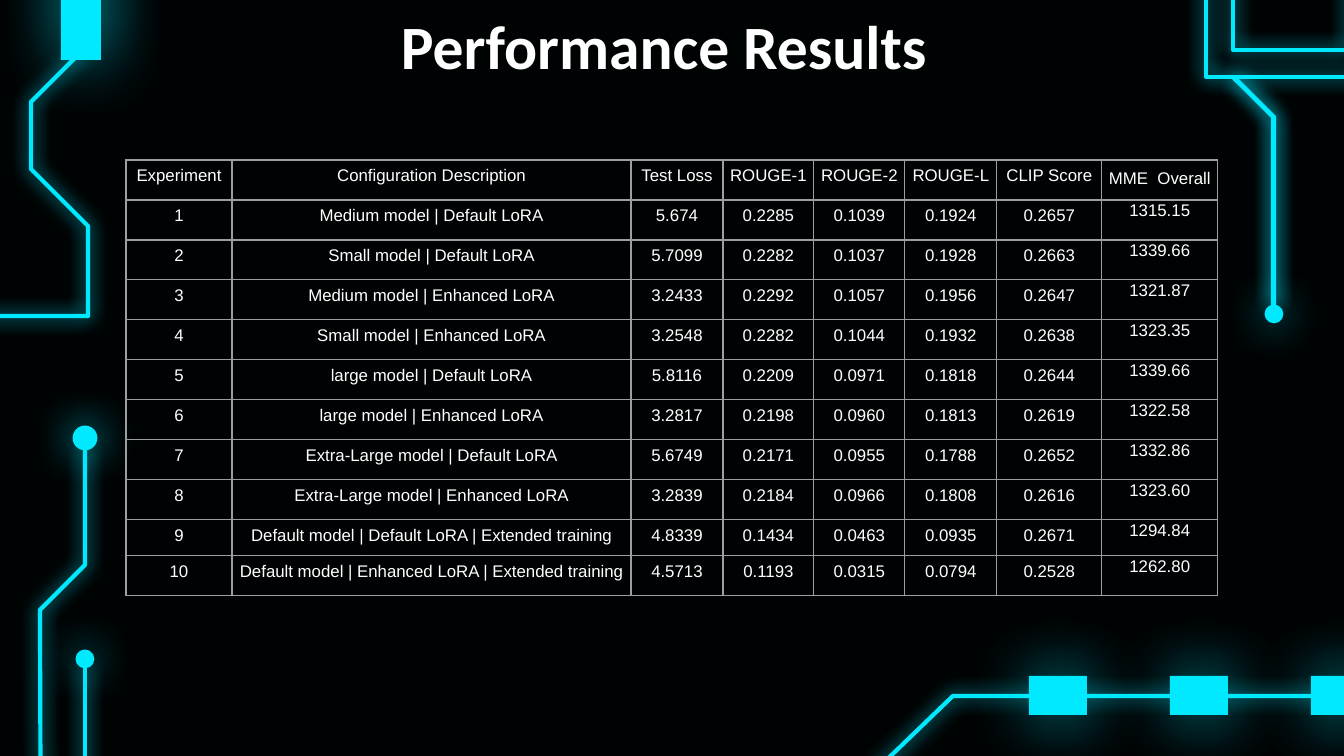
from lxml.etree import SubElement
from pptx import Presentation
from pptx.dml.color import RGBColor
from pptx.enum.shapes import MSO_CONNECTOR as Connector, MSO_SHAPE as Shape
from pptx.enum.text import MSO_ANCHOR as Anchor, PP_ALIGN as Align
from pptx.oxml.ns import qn
from pptx.util import Emu, Pt

CYAN = RGBColor(0x00, 0xE9, 0xFF)
NIGHT = RGBColor(0x00, 0x03, 0x04)
WHITE = RGBColor(0xFF, 0xFF, 0xFF)
GRID = RGBColor(0x9E, 0x9E, 0x9E)
EMU_PER_PX = 914400 / 134.4

TITLE = "Performance Results "
HEADER = ("Experiment", "Configuration Description", "Test Loss", "ROUGE-1",
          "ROUGE-2", "ROUGE-L", "CLIP Score", "MME  Overall")
EXPERIMENTS = [
    ("Medium model | Default LoRA", "5.674", "0.2285", "0.1039", "0.1924", "0.2657", "1315.15"),
    ("Small model | Default LoRA", "5.7099", "0.2282", "0.1037", "0.1928", "0.2663", "1339.66"),
    ("Medium model | Enhanced LoRA", "3.2433", "0.2292", "0.1057", "0.1956", "0.2647", "1321.87"),
    ("Small model | Enhanced LoRA", "3.2548", "0.2282", "0.1044", "0.1932", "0.2638", "1323.35"),
    ("large model | Default LoRA", "5.8116", "0.2209", "0.0971", "0.1818", "0.2644", "1339.66"),
    ("large model | Enhanced LoRA", "3.2817", "0.2198", "0.0960", "0.1813", "0.2619", "1322.58"),
    ("Extra-Large model | Default LoRA", "5.6749", "0.2171", "0.0955", "0.1788", "0.2652", "1332.86"),
    ("Extra-Large model | Enhanced LoRA", "3.2839", "0.2184", "0.0966", "0.1808", "0.2616", "1323.60"),
    ("Default model | Default LoRA | Extended training",
     "4.8339", "0.1434", "0.0463", "0.0935", "0.2671", "1294.84"),
    ("Default model | Enhanced LoRA | Extended training",
     "4.5713", "0.1193", "0.0315", "0.0794", "0.2528", "1262.80"),
]
COLUMN_WIDTHS = (106, 399, 92, 91, 91, 92, 105, 116)
ROW_HEIGHTS = [40] * 9 + [36, 40]

TRACES = [
    [(85, 664), (85, 848)],
    [(85, 445), (85, 565), (40, 610), (41, 888)],
    [(1233, 77), (1273, 117), (1273, 305)],
    [(1234, 77), (1274, 117), (1274, 305)],
    [(1442, 1297), (1442, 696), (953, 696), (841, 804), (841, 1297), (1442, 1297)],
    [(81, -30), (81, 52), (31, 102), (31, 169), (88, 226), (88, 316), (-40, 316),
     (-85, 270), (-215, 270), (-258, 313), (-431, 313), (-431, -415), (-390, -457),
     (-390, -618), (-430, -659), (-430, -882)],
]
FRAMES = [(1206, -92, 169, 169), (1233, -66, 116, 116)]
DOTS = [(85, 659, 16), (85, 438, 22), (1274, 314, 16)]
CHIPS = [(61, -44, 40, 104)] + [(x, 676, 58, 39) for x in (1029, 1170, 1311)]


def px(length):
    return Emu(round(length * EMU_PER_PX))


def box(*lengths):
    return [px(length) for length in lengths]


def add_glow(part, blur, opacity=100, distance=0):
    effects = SubElement(part._element.spPr, qn("a:effectLst"))
    glow = SubElement(effects, qn("a:outerShdw"), blurRad=str(Pt(blur)),
                      dist=str(Pt(distance)), dir="0", algn="ctr", rotWithShape="0")
    color = SubElement(glow, qn("a:srgbClr"), val=str(CYAN))
    SubElement(color, qn("a:alpha"), val=str(opacity * 1000))


def set_line(part, width):
    part.line.color.rgb = CYAN
    part.line.width = Pt(width)


def add_trace(shapes, points):
    if len(points) == 2:
        trace = shapes.add_connector(Connector.STRAIGHT, *box(*points[0], *points[1]))
    else:
        builder = shapes.build_freeform(*points[0], scale=EMU_PER_PX)
        builder.add_line_segments(points[1:], close=points[0] == points[-1])
        trace = builder.convert_to_shape()
        trace.fill.background()
    set_line(trace, 2.25)
    add_glow(trace, 10.1)


def add_solid(shapes, preset, *place):
    solid = shapes.add_shape(preset, *box(*place))
    solid.fill.solid()
    solid.fill.fore_color.rgb = CYAN
    return solid


def add_text(paragraph, text, font_name, size, bold=False):
    paragraph.alignment = Align.CENTER
    run = paragraph.add_run()
    run.text = text
    run.font.name = font_name
    run.font.size = Pt(size)
    run.font.bold = bold
    run.font.color.rgb = WHITE


def set_margins(target, margin):
    target.margin_left = target.margin_right = px(margin)
    target.margin_top = target.margin_bottom = px(margin)


def add_borders(cell):
    properties = cell._tc.get_or_add_tcPr()
    for position, side in enumerate(("lnL", "lnR", "lnT", "lnB")):
        border = properties.makeelement(qn(f"a:{side}"), {"w": str(Pt(0.75))})
        fill = SubElement(border, qn("a:solidFill"))
        SubElement(fill, qn("a:srgbClr"), val=str(GRID))
        properties.insert(position, border)


def add_results(shapes):
    rows = [HEADER] + [(str(number), *row) for number, row in enumerate(EXPERIMENTS, 1)]
    place = box(126, 160, sum(COLUMN_WIDTHS), sum(ROW_HEIGHTS))
    results = shapes.add_table(len(rows), len(HEADER), *place).table
    results.first_row = results.horz_banding = False
    for column, width in zip(results.columns, COLUMN_WIDTHS):
        column.width = px(width)
    for row, height in zip(results.rows, ROW_HEIGHTS):
        row.height = px(height)
    for r, values in enumerate(rows):
        for c, value in enumerate(values):
            is_overall = c == len(HEADER) - 1
            cell = results.cell(r, c)
            cell.fill.background()
            add_borders(cell)
            set_margins(cell, 0 if is_overall else 5)
            paragraph = cell.text_frame.paragraphs[0]
            paragraph.line_spacing = 1.5 if is_overall and r == 0 else 1.07
            paragraph.space_after = Pt(8)
            add_text(paragraph, value, "Arial", 9)


def main():
    deck = Presentation()
    deck.slide_width, deck.slide_height = box(1344, 756)
    slide = deck.slides.add_slide(deck.slide_layouts[5])
    slide.background.fill.solid()
    slide.background.fill.fore_color.rgb = NIGHT
    shapes = slide.shapes

    for points in TRACES:
        add_trace(shapes, points)
    for place in FRAMES:
        frame = shapes.add_shape(Shape.RECTANGLE, *box(*place))
        frame.fill.background()
        set_line(frame, 2.25)
        add_glow(frame, 10.1)
    for x, y, size in DOTS:
        dot = add_solid(shapes, Shape.OVAL, x - size / 2, y - size / 2, size, size)
        set_line(dot, 1.5)
        add_glow(dot, 22.5)
    for place in CHIPS:
        chip = add_solid(shapes, Shape.RECTANGLE, *place)
        chip.line.fill.background()
        add_glow(chip, 36, 70, 1.5)

    title = shapes.title
    title.left, title.top, title.width, title.height = box(104, 10, 1134, 70)
    title.text_frame.vertical_anchor = Anchor.MIDDLE
    set_margins(title.text_frame, 13)
    add_text(title.text_frame.paragraphs[0], TITLE, "Calibri", 33, bold=True)

    add_results(shapes)
    deck.save("out.pptx")


if __name__ == "__main__":
    main()
